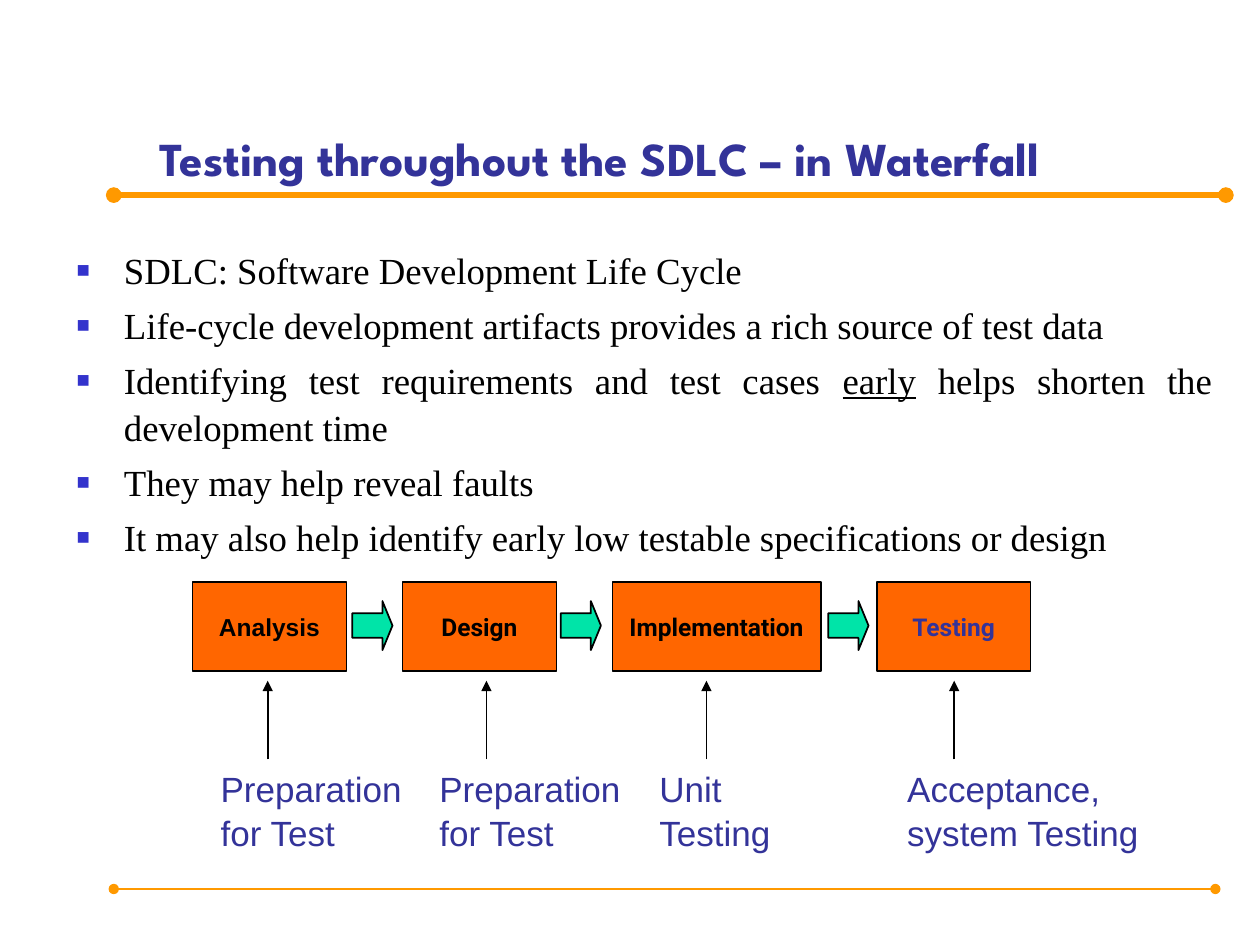
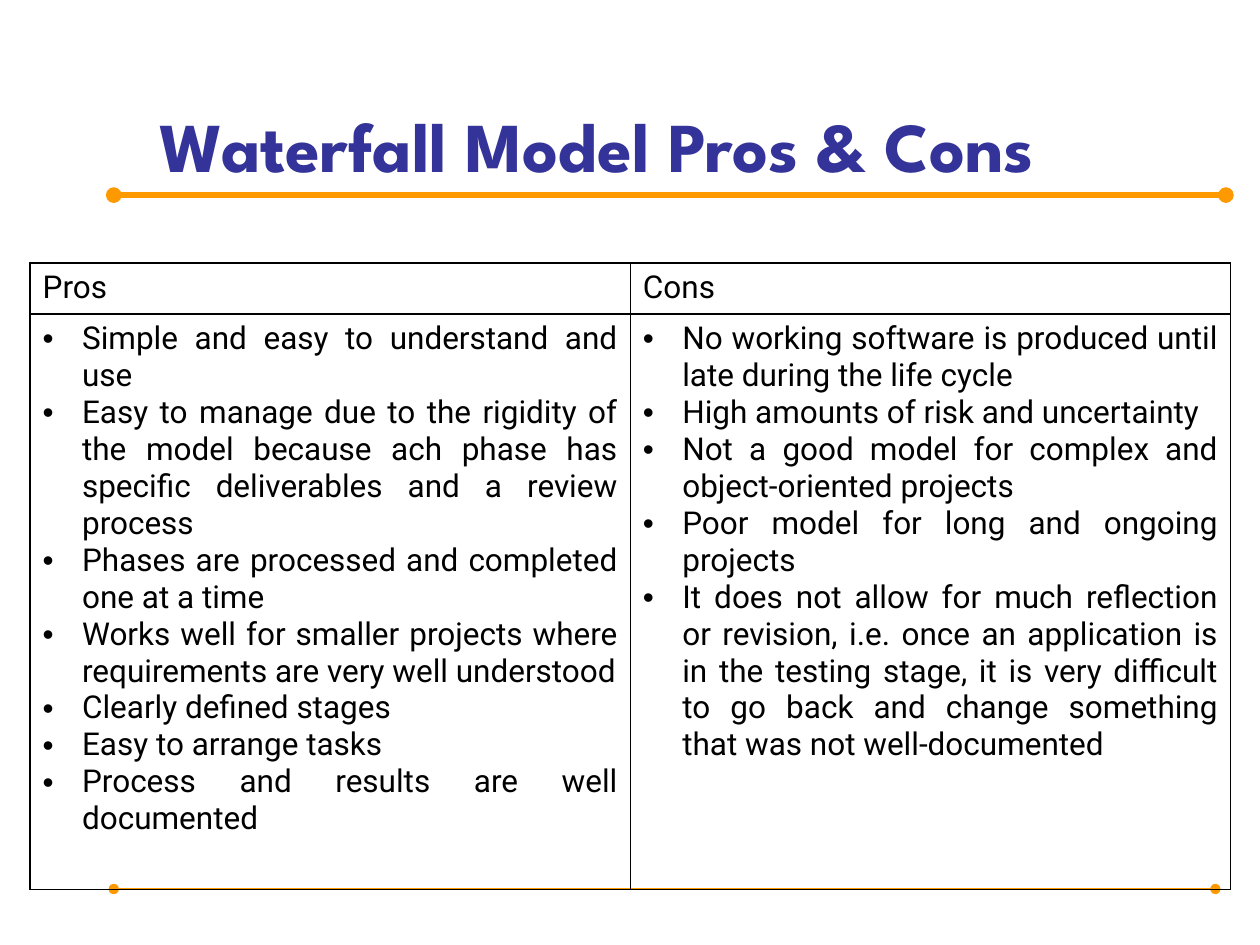
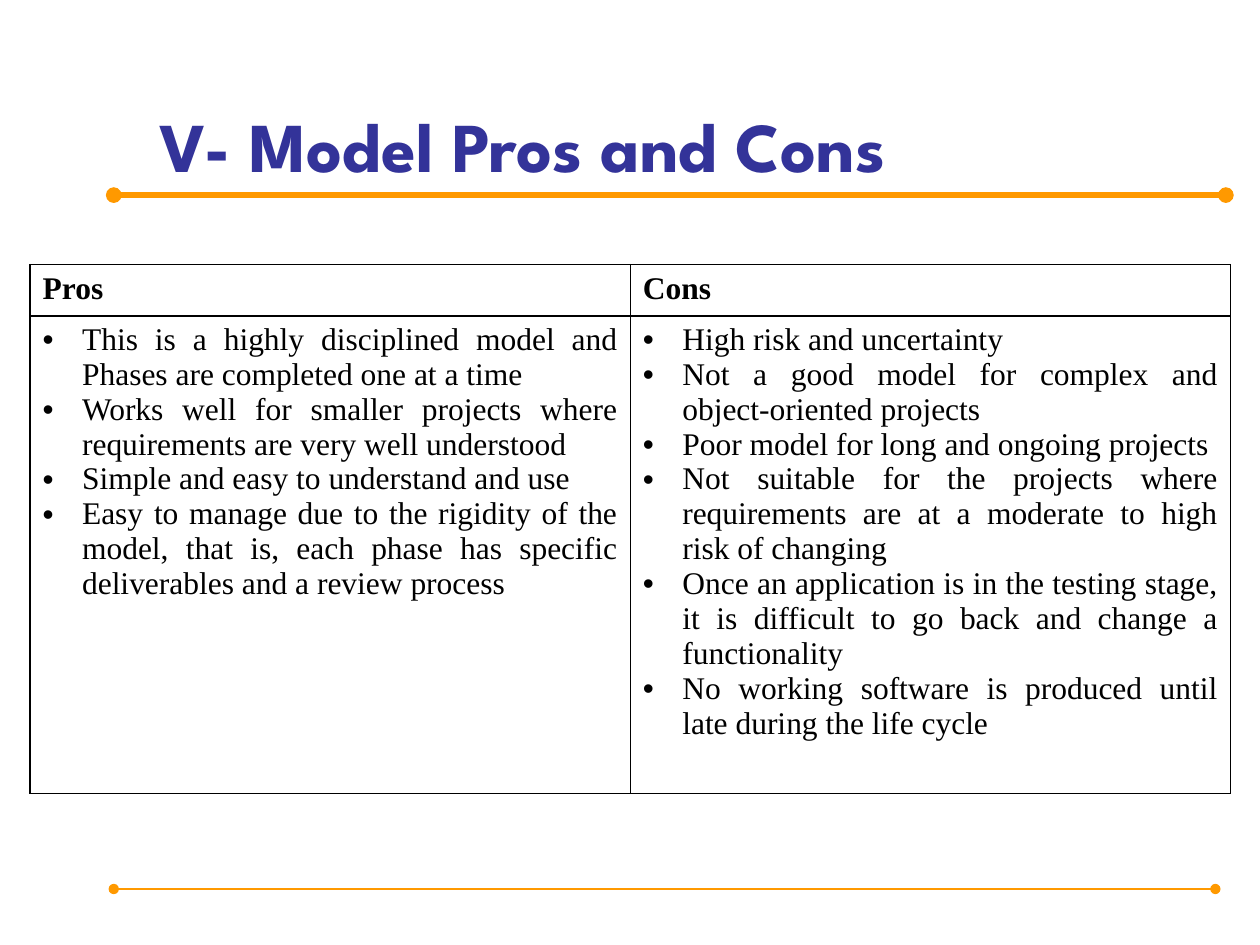
from lxml import etree
from pptx import Presentation
from pptx import dml, oxml
from pptx.dml import color as dmc
from pptx.enum import shapes as es, text as et
from pptx.oxml import ns
from pptx.util import Pt

ORANGE, NAVY, BLACK = "FF9900", "333399", "000000"
BOX, GREEN, BLUE = "FF6600", "00E4A8", "3333CC"
HEAD, SANS, SERIF, ARIAL = "League Spartan", "Roboto", "Times New Roman", "Arial"


def rgb(code):
    return dmc.RGBColor.from_string(code)


def sub(parent, tag, **attrs):
    node = etree.SubElement(parent, ns.qn("a:" + tag))
    for key, val in attrs.items():
        node.set(key, str(val))
    return node


def add_run(para, words, size, face, tint=BLACK, bold=False, under=False):
    run = para.add_run()
    run.text = words
    font = run.font
    font.size, font.name, font.bold = Pt(size), face, bold
    font.color.rgb = rgb(tint)
    if under:
        font.underline = True


def next_para(frame, index):
    return frame.add_paragraph() if index else frame.paragraphs[0]


def bullet(para, indent, char, tint=None, scale=100):
    """Give a justified paragraph a hanging bullet."""
    props = para._p.get_or_add_pPr()
    props.set("marL", str(Pt(indent)))
    props.set("indent", str(-Pt(indent)))
    if tint:
        sub(sub(props, "buClr"), "srgbClr", val=tint)
    sub(props, "buSzPct", val=scale * 1000)
    sub(props, "buFont", typeface=ARIAL)
    sub(props, "buChar", char=char)
    para.alignment = et.PP_ALIGN.JUSTIFY


def add_line(slide, x1, y1, x2, y2, tint, width, head="none", tail="none"):
    line = slide.shapes.add_connector(
        es.MSO_CONNECTOR.STRAIGHT, Pt(x1), Pt(y1), Pt(x2), Pt(y2))
    line.line.color.rgb = rgb(tint)
    line.line.width = Pt(width)
    stroke = line.line._get_or_add_ln()
    sub(stroke, "headEnd", type=head)
    sub(stroke, "tailEnd", type=tail)
    sub(line._element.spPr, "effectLst")


def add_slide(deck, title, size=40):
    """Start a slide with the shared title and the two orange rules."""
    slide = deck.slides.add_slide(deck.slide_layouts[5])
    add_line(slide, 65, 111.5, 700.5, 111.5, ORANGE, 3, "oval", "oval")
    add_line(slide, 65, 508, 694.5, 508, ORANGE, 1.5, "oval", "oval")
    hold = slide.shapes.title
    hold.left, hold.top, hold.width, hold.height = Pt(84), Pt(20), Pt(620), Pt(90)
    frame = hold.text_frame
    frame.auto_size = et.MSO_AUTO_SIZE.NONE
    frame.vertical_anchor = et.MSO_ANCHOR.BOTTOM
    para = frame.paragraphs[0]
    para.alignment = et.PP_ALIGN.LEFT
    add_run(para, title, size, HEAD, NAVY, True)
    return slide


def add_points(slide, points):
    """Each point is a list of text parts; every second part is underlined."""
    box = slide.shapes.add_textbox(Pt(36.7), Pt(136), Pt(663), Pt(236))
    frame = box.text_frame
    frame.word_wrap = True
    for index, parts in enumerate(points):
        para = next_para(frame, index)
        bullet(para, 27, "■", BLUE, 60)
        para.line_spacing = 1.08
        if index:
            para.space_before = Pt(4.2)
        for place, part in enumerate(parts):
            add_run(para, part, 21, SERIF, under=place % 2 == 1)


def add_shape(slide, kind, x, y, w, h, fill):
    shape = slide.shapes.add_shape(kind, Pt(x), Pt(y), Pt(w), Pt(h))
    shape.shadow.inherit = False
    shape.fill.solid()
    shape.fill.fore_color.rgb = rgb(fill)
    shape.line.color.rgb = rgb(BLACK)
    shape.line.width = Pt(1)
    return shape


def add_stage(slide, x, width, name, face, tint):
    box = add_shape(slide, es.MSO_SHAPE.RECTANGLE, x, 332.6, width, 51, BOX)
    frame = box.text_frame
    frame.word_wrap = False
    frame.vertical_anchor = et.MSO_ANCHOR.MIDDLE
    para = frame.paragraphs[0]
    para.alignment = et.PP_ALIGN.CENTER
    add_run(para, name, 14, face, tint, True)


def add_step(slide, x):
    arrow = add_shape(slide, es.MSO_SHAPE.RIGHT_ARROW, x, 343.5, 23, 28, GREEN)
    arrow.adjustments[0], arrow.adjustments[1] = 0.5, 0.25


def add_task(slide, x, width, lines):
    """Place a test task with its arrow up to the stage above."""
    box = slide.shapes.add_textbox(Pt(x), Pt(434), Pt(width), Pt(55.5))
    frame = box.text_frame
    frame.word_wrap = False
    for index, words in enumerate(lines):
        para = next_para(frame, index)
        para.line_spacing = 1.05
        add_run(para, words, 20, ARIAL, NAVY)
    add_line(slide, x + 34, 434, x + 34, 389, BLACK, 1, tail="triangle")


def style_cell(cell):
    props = cell._tc.get_or_add_tcPr()
    for side in ("lnL", "lnR", "lnT", "lnB"):
        edge = sub(props, side, w=Pt(1))
        sub(sub(edge, "solidFill"), "srgbClr", val=BLACK)
    cell.fill.background()


def add_pros(slide, top, heights, face, bold, pros, cons):
    """Draw the table of pros and cons."""
    table = slide.shapes.add_table(
        2, 2, Pt(17.2), Pt(top), Pt(686), Pt(sum(heights))).table
    table.first_row = table.horz_banding = False
    for row, height in zip(table.rows, heights):
        row.height = Pt(height)
    for col, (name, points) in enumerate((("Pros", pros), ("Cons", cons))):
        table.columns[col].width = Pt(343)
        top_cell, cell = table.cell(0, col), table.cell(1, col)
        style_cell(top_cell)
        style_cell(cell)
        add_run(top_cell.text_frame.paragraphs[0], name, 18, face, bold=bold)
        for index, words in enumerate(points):
            para = next_para(cell.text_frame, index)
            bullet(para, 22.5, "•")
            add_run(para, words, 18, face)


def main():
    deck = Presentation()
    deck.slide_width, deck.slide_height = Pt(720), Pt(540)

    slide = add_slide(deck, "Testing throughout the SDLC – in Waterfall", 27)
    add_points(slide, [
        ["SDLC: Software Development Life Cycle"],
        ["Life-cycle development artifacts provides a rich source of test data"],
        ["Identifying test requirements and test cases ", "early",
         " helps shorten the development time"],
        ["They may help reveal faults"],
        ["It may also help identify early low testable specifications or design"],
    ])
    for stage in (
        (110, 88, "Analysis", ARIAL, BLACK),
        (230, 88, "Design", SANS, BLACK),
        (350, 119, "Implementation", SANS, BLACK),
        (501, 88, "Testing", SANS, NAVY),
    ):
        add_stage(slide, *stage)
    for x in (201.3, 320.4, 473.3):
        add_step(slide, x)
    for task in (
        (119, 124.5, ("Preparation", "for Test")),
        (244, 124.5, ("Preparation", "for Test")),
        (369.7, 78.5, ("Unit", "Testing")),
        (511.3, 147.5, ("Acceptance,", "system Testing")),
    ):
        add_task(slide, *task)

    slide = add_slide(deck, "Waterfall Model Pros & Cons")
    add_pros(slide, 150.4, (29, 329), SANS, False, [
        "Simple and easy to understand and use",
        "Easy to manage due to the rigidity of the model because ach phase has "
        "specific deliverables and a review process",
        "Phases are processed and completed one at a time",
        "Works well for smaller projects where requirements are very well understood",
        "Clearly defined stages",
        "Easy to arrange tasks",
        "Process and results are well documented",
    ], [
        "No working software is produced until late during the life cycle",
        "High amounts of risk and uncertainty",
        "Not a good model for complex and object-oriented projects",
        "Poor model for long and ongoing projects",
        "It does not allow for much reflection or revision, i.e. once an application "
        "is in the testing stage, it is very difficult to go back and change "
        "something that was not well-documented",
    ])

    slide = add_slide(deck, "V- Model Pros and Cons")
    add_pros(slide, 151.2, (29.4, 272.8), SERIF, True, [
        "This is a highly disciplined model and Phases are completed one at a time",
        "Works well for smaller projects where requirements are very well understood",
        "Simple and easy to understand and use",
        "Easy to manage due to the rigidity of the model, that is, each phase has "
        "specific deliverables and a review process",
    ], [
        "High risk and uncertainty",
        "Not a good model for complex and object-oriented projects",
        "Poor model for long and ongoing projects",
        "Not suitable for the projects where requirements are at a moderate to high "
        "risk of changing",
        "Once an application is in the testing stage, it is difficult to go back and "
        "change a functionality",
        "No working software is produced until late during the life cycle",
    ])
    deck.save("out.pptx")


if __name__ == "__main__":
    main()
